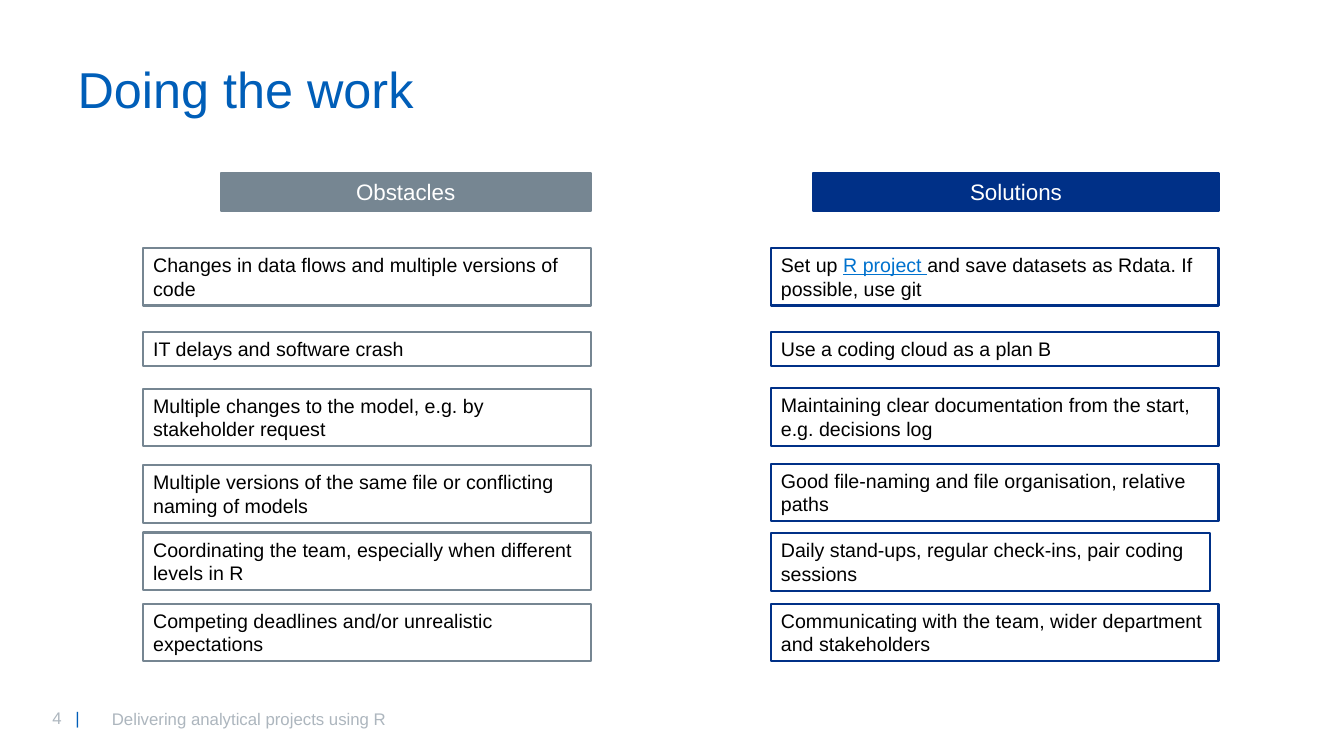
"""Build the slide on obstacles and solutions when doing the work."""
from lxml import etree
from pptx import Presentation
from pptx.dml.color import RGBColor
from pptx.enum.shapes import MSO_SHAPE
from pptx.enum.text import MSO_ANCHOR, MSO_AUTO_SIZE, PP_ALIGN
from pptx.oxml.ns import qn
from pptx.util import Cm, Pt

RECT = MSO_SHAPE.RECTANGLE
TOP, MIDDLE = MSO_ANCHOR.TOP, MSO_ANCHOR.MIDDLE
LEFT, CENTER = PP_ALIGN.LEFT, PP_ALIGN.CENTER
NO_FIT = MSO_AUTO_SIZE.NONE
BLUE = RGBColor(0x00, 0x5E, 0xB8)
NAVY = RGBColor(0x00, 0x30, 0x87)
GREY = RGBColor(0x76, 0x86, 0x92)
PALE = RGBColor(0xAD, 0xB6, 0xBE)
LINK = RGBColor(0x00, 0x72, 0xCE)
BLACK = RGBColor(0x00, 0x00, 0x00)
WHITE = RGBColor(0xFF, 0xFF, 0xFF)
WIDE, TALL, SHORT = 11.28, 1.45, 0.86


def write(shape, text, size=14, color=BLACK, align=LEFT, anchor=TOP, under=None):
    frame = shape.text_frame
    frame.word_wrap = True
    frame.auto_size = NO_FIT
    frame.vertical_anchor = anchor
    para = frame.paragraphs[0]
    para.alignment = align
    run = para.add_run()
    run.text = text
    run.font.name = "Arial"
    run.font.size = Pt(size)
    run.font.color.rgb = color
    run.font.underline = under


def add_box(left, top, width, height, line, fill=None):
    box = slide.shapes.add_shape(RECT, Cm(left), Cm(top), Cm(width), Cm(height))
    box.shadow.inherit = False
    box.line.color.rgb = line
    box.line.width = Pt(1.5)
    if fill is None:
        box.fill.background()
    else:
        box.fill.solid()
        box.fill.fore_color.rgb = fill
    return box


deck = Presentation()
deck.slide_width, deck.slide_height = Cm(33.87), Cm(19.05)
slide = deck.slides.add_slide(deck.slide_layouts[5])

title = slide.shapes.title
title.left, title.top, title.width, title.height = Cm(1.7), Cm(1.47), Cm(24.33), Cm(1.7)
write(title, "Doing the work", size=36, color=BLUE, anchor=MIDDLE)
title.text_frame.paragraphs[0].line_spacing = 0.9

number = slide.shapes.add_textbox(Cm(1.07), Cm(17.7), Cm(2.39), Cm(0.76))
props = number.text_frame.paragraphs[0]._p.get_or_add_pPr()
tabs = etree.SubElement(props, qn("a:tabLst"))
etree.SubElement(tabs, qn("a:tab"), pos=str(Cm(0.58)), algn="l")
write(number, "4\t", size=12, color=PALE)
write(number, "|", size=12, color=BLUE)

footer = slide.shapes.add_textbox(Cm(2.57), Cm(17.6), Cm(21.21), Cm(1.02))
write(footer, "Delivering analytical projects using R", size=12, color=PALE, anchor=MIDDLE)

columns = [
    ("Obstacles", GREY, 3.61, 5.56, [
        (6.25, WIDE, TALL, ["Changes in data flows and multiple versions of code"]),
        (8.36, WIDE, SHORT, ["IT delays and software crash"]),
        (9.8, WIDE, TALL, ["Multiple changes to the model, e.g. by stakeholder request"]),
        (11.72, WIDE, TALL,
         ["Multiple versions of the same file or conflicting naming of models"]),
        (13.42, WIDE, TALL, ["Coordinating the team, especially when different levels in R"]),
        (15.21, WIDE, TALL, ["Competing deadlines and/or unrealistic expectations"]),
    ]),
    ("Solutions", NAVY, 19.43, 20.5, [
        (6.25, WIDE, TALL,
         ["Set up ", "R project ", "and save datasets as Rdata. If possible, use git"]),
        (8.36, WIDE, SHORT, ["Use a coding cloud as a plan B"]),
        (9.78, WIDE, TALL,
         ["Maintaining clear documentation from the start, e.g. decisions log"]),
        (11.69, WIDE, TALL, ["Good file-naming and file organisation, relative paths"]),
        (13.44, 11.07, TALL, ["Daily stand-ups, regular check-ins, pair coding sessions"]),
        (15.21, WIDE, TALL, ["Communicating with the team, wider department and stakeholders"]),
    ]),
]
for name, color, left, inset, items in columns:
    head = add_box(inset, 4.37, left + WIDE - inset, 0.94, color, fill=color)
    write(head, name, size=16, color=WHITE, align=CENTER)
    for top, width, height, parts in items:
        box = add_box(left, top, width, height, color)
        for part in parts:
            linked = part == "R project "
            write(box, part, color=LINK if linked else BLACK, under=linked)

deck.save("out.pptx")
